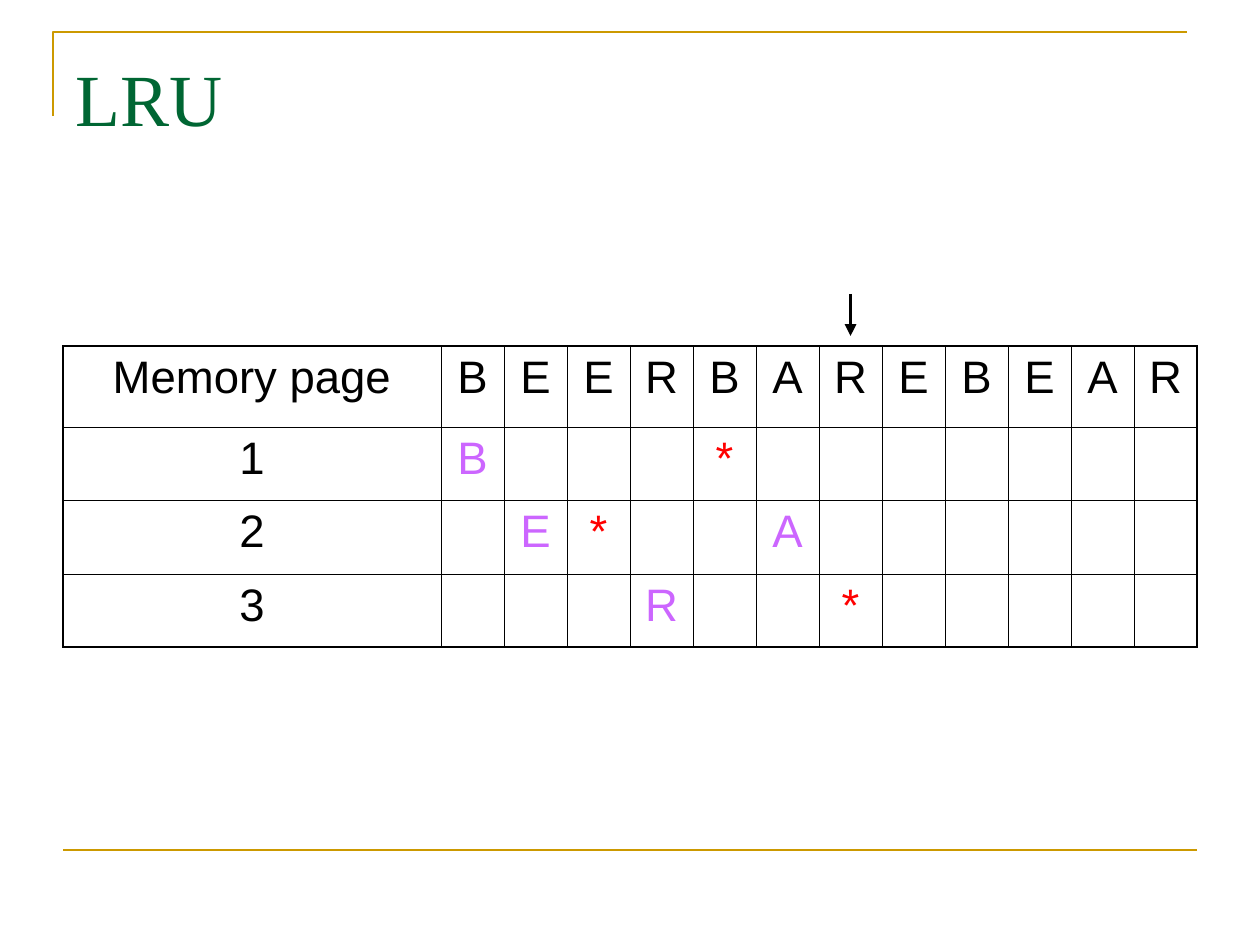
from lxml import etree
from pptx import Presentation
from pptx.dml.color import RGBColor
from pptx.enum.shapes import MSO_CONNECTOR
from pptx.enum.text import MSO_ANCHOR, PP_ALIGN
from pptx.oxml.ns import qn
from pptx.util import Pt

LEFT, CENTER = PP_ALIGN.LEFT, PP_ALIGN.CENTER
TOP, STRAIGHT = MSO_ANCHOR.TOP, MSO_CONNECTOR.STRAIGHT

BLACK = RGBColor(0x00, 0x00, 0x00)
WHITE = RGBColor(0xFF, 0xFF, 0xFF)
GOLD = RGBColor(0xCC, 0x99, 0x00)
GREEN = RGBColor(0x00, 0x66, 0x33)
PURPLE = RGBColor(0xCC, 0x66, 0xFF)
RED = RGBColor(0xFF, 0x00, 0x00)

# Content
TITLE = "LRU"
CORNER = "Memory page"
REQUESTS = "BEERBAREBEAR"
PAGES = ["1", "2", "3"]
# (page row, request column): loaded letter, or * for a hit
EVENTS = {
    (1, 1): "B", (1, 5): "*",
    (2, 2): "E", (2, 3): "*", (2, 6): "A",
    (3, 4): "R", (3, 7): "*",
}
CURRENT_REQUEST = 7

# Layout in px
SCALE = 914400 / 126
TABLE_LEFT, TABLE_TOP = 63, 346
LABEL_WIDTH, REQUEST_WIDTH = 378, 63
ROW_HEIGHTS = [81, 73, 74, 73]
COLUMN_WIDTHS = [LABEL_WIDTH] + [REQUEST_WIDTH] * len(REQUESTS)
THIN, THICK = 0.45, 1.08


def px(length):
    return round(length * SCALE)


def write(frame, text, font="Arial", size=26, color=BLACK, align=CENTER):
    paragraph = frame.paragraphs[0]
    paragraph.alignment = align
    run = paragraph.add_run()
    run.text = text
    run.font.name = font
    run.font.size = Pt(size)
    run.font.color.rgb = color


def add_line(slide, start, end, color, width):
    line = slide.shapes.add_connector(STRAIGHT, *map(px, start + end))
    line.line.color.rgb = color
    line.line.width = Pt(width)
    etree.SubElement(line._element.spPr, qn("a:effectLst"))
    return line


def set_borders(cell, widths):
    properties = cell._tc.get_or_add_tcPr()
    for side, width in widths.items():
        border = etree.SubElement(properties, qn(f"a:ln{side}"), w=str(Pt(width)))
        fill = etree.SubElement(border, qn("a:solidFill"))
        etree.SubElement(fill, qn("a:srgbClr"), val=str(BLACK))


def cell_content(row, column):
    if row == 0:
        return (REQUESTS[column - 1] if column else CORNER), BLACK
    if column == 0:
        return PAGES[row - 1], BLACK
    event = EVENTS.get((row, column), "")
    return event, RED if event == "*" else PURPLE


def add_page_table(slide):
    rows, columns = len(ROW_HEIGHTS), len(COLUMN_WIDTHS)
    table = slide.shapes.add_table(
        rows, columns, px(TABLE_LEFT), px(TABLE_TOP),
        px(sum(COLUMN_WIDTHS)), px(sum(ROW_HEIGHTS))).table
    table.first_row = table.horz_banding = False
    for column, width in enumerate(COLUMN_WIDTHS):
        table.columns[column].width = px(width)
    for row, height in enumerate(ROW_HEIGHTS):
        table.rows[row].height = px(height)
        for column in range(columns):
            cell = table.cell(row, column)
            set_borders(cell, {
                "L": THICK if column == 0 else THIN,
                "R": THICK if column == columns - 1 else THIN,
                "T": THICK if row == 0 else THIN,
                "B": THICK if row == rows - 1 else THIN,
            })
            cell.fill.solid()
            cell.fill.fore_color.rgb = WHITE
            text, color = cell_content(row, column)
            if text:
                write(cell.text_frame, text, color=color)


def main():
    deck = Presentation()
    deck.slide_width, deck.slide_height = px(1260), px(945)
    slide = deck.slides.add_slide(deck.slide_layouts[6])

    # Corner rule and footer rule
    builder = slide.shapes.build_freeform(53, 116, scale=SCALE)
    builder.add_line_segments([(53, 32), (1187, 32)], close=False)
    corner_rule = builder.convert_to_shape()
    corner_rule.shadow.inherit = False
    corner_rule.fill.background()
    corner_rule.line.color.rgb = GOLD
    corner_rule.line.width = Pt(1.5)
    add_line(slide, (63, 850), (1197, 850), GOLD, 1.5)

    # Title
    title = slide.shapes.add_textbox(px(63), px(38), px(1134), px(157)).text_frame
    title.word_wrap = True
    title.vertical_anchor = TOP
    title.margin_top = px(15)
    write(title, TITLE, font="Times New Roman", size=42, color=GREEN, align=LEFT)

    add_page_table(slide)

    # Arrow over the current request
    x = TABLE_LEFT + LABEL_WIDTH + (CURRENT_REQUEST - 0.5) * REQUEST_WIDTH
    arrow = add_line(slide, (x, 294), (x, 336), BLACK, 2.25)
    etree.SubElement(arrow.line._get_or_add_ln(), qn("a:tailEnd"), type="triangle")

    deck.save("out.pptx")


if __name__ == "__main__":
    main()
